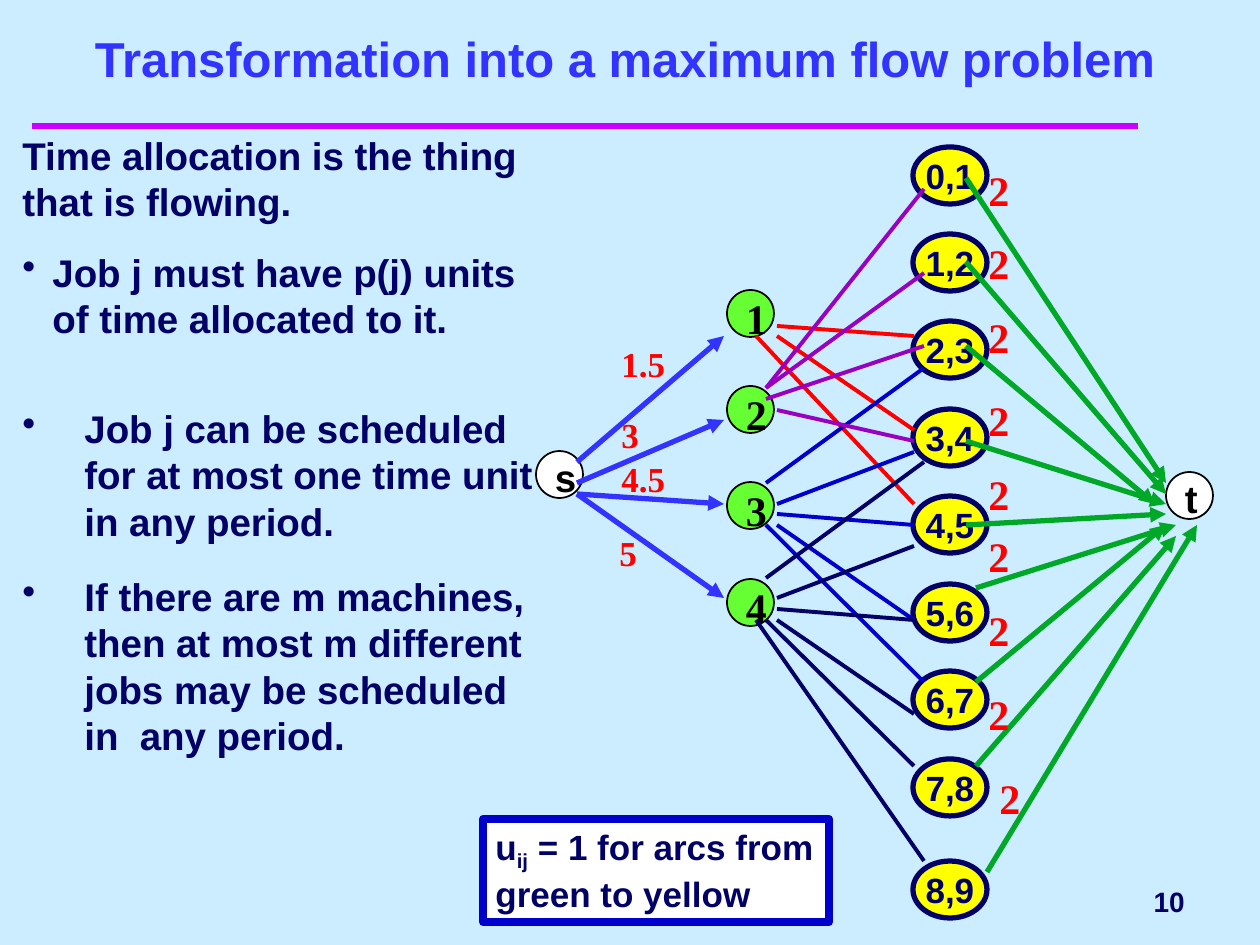
from lxml.etree import SubElement
from pptx import Presentation
from pptx.dml.color import RGBColor
from pptx.enum.shapes import MSO_CONNECTOR, MSO_SHAPE
from pptx.enum.text import MSO_ANCHOR, PP_ALIGN
from pptx.oxml.ns import qn
from pptx.util import Pt

EMU_PER_PX = 914400 / 126
NAVY, BLUE, VIOLET, RED = "000066", "0000CC", "9900BF", "FF0000"
BRIGHT_BLUE, GREEN, BLACK, WHITE = "3333FF", "00A828", "000000", "FFFFFF"
SANS, SERIF = "Arial", "Times New Roman"

SUPPLY_ARCS = [(577, 462, 724, 336), (577, 483, 724, 420),
               (577, 494, 724, 504), (577, 494, 724, 598)]
SUPPLY_LABELS = [("1.5", 609, 336), ("3", 609, 407), ("4.5", 609, 451), ("5", 607, 525)]
JOB_ARCS = {
    RED: [(777, 336, 914, 430), (777, 326, 914, 336), (756, 336, 914, 504)],
    BLUE: [(777, 504, 914, 452), (777, 525, 914, 620), (777, 514, 914, 525),
           (766, 483, 924, 368), (766, 525, 924, 682)],
    VIOLET: [(766, 388, 924, 273), (766, 388, 924, 189), (777, 410, 914, 441),
             (766, 399, 924, 346)],
    NAVY: [(777, 598, 914, 546), (777, 620, 914, 714), (777, 609, 914, 620),
           (766, 578, 924, 462), (766, 620, 914, 766), (756, 620, 924, 861)],
}
PERIOD_ARCS = [(966, 178, 1166, 483), (966, 262, 1166, 494), (966, 346, 1155, 504),
               (966, 441, 1166, 504), (966, 525, 1166, 514), (976, 588, 1176, 525),
               (976, 682, 1166, 525), (976, 766, 1176, 536), (987, 872, 1197, 525)]
CAPACITY_SPOTS = [(976, 158), (976, 231), (976, 305), (976, 388), (976, 462),
                  (976, 524), (976, 598), (976, 682), (987, 766)]


def px(*lengths):
    return [round(length * EMU_PER_PX) for length in lengths]


def rgb(hex_colour):
    return RGBColor.from_string(hex_colour)


def add_run(paragraph, text, size, colour, font=SANS):
    run = paragraph.add_run()
    run.text = text
    run.font.name = font
    run.font.size = Pt(size)
    run.font.bold = True
    run.font.color.rgb = rgb(colour)
    return run


def add_bullet(paragraph, indent):
    """Hang the paragraph behind a round bullet by indent px."""
    margin, = px(indent)
    properties = paragraph._p.get_or_add_pPr()
    properties.set("marL", str(margin))
    properties.set("indent", str(-margin))
    SubElement(properties, qn("a:buChar")).set("char", "•")


def add_label(shapes, text, box, size, colour, font=SANS, inset=True):
    label = shapes.add_textbox(*px(*box))
    frame = label.text_frame
    frame.word_wrap = inset
    if not inset:
        frame.margin_left = frame.margin_right = 0
        frame.margin_top = frame.margin_bottom = 0
    add_run(frame.paragraphs[0], text, size, colour, font)
    return label


def add_note(shapes, box, paragraphs):
    """Add body text from (text, bullet indent) pairs; indent 0 means no bullet."""
    frame = shapes.add_textbox(*px(*box)).text_frame
    frame.word_wrap = True
    for index, (text, indent) in enumerate(paragraphs):
        paragraph = frame.add_paragraph() if index else frame.paragraphs[0]
        if index:
            paragraph.space_before = Pt(13.8)
        if indent:
            add_bullet(paragraph, indent)
        add_run(paragraph, text, 22, NAVY)


def add_block(shapes, preset, box, fill, line, width):
    block = shapes.add_shape(preset, *px(*box))
    block.shadow.inherit = False
    block.fill.solid()
    block.fill.fore_color.rgb = rgb(fill)
    block.line.color.rgb = rgb(line)
    block.line.width = Pt(width)
    return block


def add_node(shapes, text, left, top, fill, size, font):
    """Add a small circle whose label sits right of its centre."""
    add_block(shapes, MSO_SHAPE.OVAL, (left, top, 47, 47), fill, BLACK, 1)
    add_label(shapes, text, (left + 19, top + 3, 21, 48), size, BLACK, font, inset=False)


def add_period(shapes, text, top):
    frame = add_block(shapes, MSO_SHAPE.OVAL, (913, top, 74, 57), "FFFF00", NAVY, 3).text_frame
    frame.word_wrap = False
    frame.vertical_anchor = MSO_ANCHOR.MIDDLE
    frame.paragraphs[0].alignment = PP_ALIGN.CENTER
    add_run(frame.paragraphs[0], text, 20, NAVY)


def add_arc(shapes, ends, colour, width, arrow=False):
    arc = shapes.add_connector(MSO_CONNECTOR.STRAIGHT, *px(*ends))
    arc.line.color.rgb = rgb(colour)
    arc.line.width = Pt(width)
    if arrow:
        SubElement(arc.line._get_or_add_ln(), qn("a:tailEnd")).set("type", "triangle")
    SubElement(arc._element.spPr, qn("a:effectLst"))


def add_title(slide, text):
    title = slide.shapes.title
    title.left, title.top, title.width, title.height = px(63, 21, 1124, 73)
    frame = title.text_frame
    frame.vertical_anchor = MSO_ANCHOR.BOTTOM
    frame.paragraphs[0].alignment = PP_ALIGN.CENTER
    add_run(frame.paragraphs[0], text, 28, BRIGHT_BLUE)


def add_capacity_rule(shapes):
    rule = add_block(shapes, MSO_SHAPE.RECTANGLE, (483, 819, 346, 103), WHITE, BLUE, 4.5)
    frame = rule.text_frame
    frame.word_wrap = True
    frame.vertical_anchor = MSO_ANCHOR.TOP
    paragraph = frame.paragraphs[0]
    paragraph.alignment = PP_ALIGN.LEFT
    add_run(paragraph, "u", 20, NAVY)
    subscript = add_run(paragraph, "ij", 20, NAVY)
    subscript._r.get_or_add_rPr().set("baseline", "-25000")
    add_run(paragraph, " = 1 for arcs from green to yellow", 20, NAVY)


def add_network(shapes):
    terminals = shapes.add_group_shape().shapes
    add_node(terminals, "s", 536, 451, WHITE, 22, SANS)
    add_node(terminals, "t", 1166, 472, WHITE, 22, SANS)

    supply = shapes.add_group_shape().shapes
    for ends in SUPPLY_ARCS:
        add_arc(supply, ends, BRIGHT_BLUE, 3, arrow=True)
    for amount, left, top in SUPPLY_LABELS:
        add_label(supply, amount, (left, top, 116, 55), 20, RED, SERIF)

    nodes = shapes.add_group_shape().shapes
    for job in range(4):
        add_node(nodes, str(job + 1), 727, 290 + job * 289 // 3, "66FF33", 24, SERIF)
    for start in range(9):
        top = 147 + start * 612 // 7 if start < 8 else 861
        add_period(nodes, f"{start},{start + 1}", top)

    demand = shapes.add_group_shape().shapes
    for ends in PERIOD_ARCS:
        add_arc(demand, ends, GREEN, 3, arrow=True)
    for left, top in CAPACITY_SPOTS:
        add_label(demand, "2", (left, top, 73, 63), 24, RED, SERIF)

    assignments = shapes.add_group_shape().shapes
    for colour, arcs in JOB_ARCS.items():
        for ends in arcs:
            add_arc(assignments, ends, colour, 2.25)


def main():
    deck = Presentation()
    deck.slide_width, deck.slide_height = px(1260, 945)
    slide = deck.slides.add_slide(deck.slide_layouts[5])
    slide.background.fill.solid()
    slide.background.fill.fore_color.rgb = rgb("CCECFF")
    shapes = slide.shapes

    add_arc(shapes, (32, 126, 1138, 126), "CC00FF", 4)
    add_title(slide, "Transformation into a maximum flow problem")
    page = add_label(shapes, "10", (903, 876, 294, 50), 16, NAVY)
    page.text_frame.vertical_anchor = MSO_ANCHOR.MIDDLE
    page.text_frame.paragraphs[0].alignment = PP_ALIGN.RIGHT

    add_note(shapes, (10, 126, 536, 222), [
        ("Time allocation is the thing that is flowing.", 0),
        ("Job j must have p(j) units of time allocated to it.", 30)])
    add_capacity_rule(shapes)
    add_network(shapes)
    add_note(shapes, (10, 399, 536, 151), [
        ("Job j can be scheduled for at most one time unit in any period.", 62)])
    add_note(shapes, (10, 567, 536, 198), [
        ("If there are m machines, then at most m different jobs may be "
         "scheduled in  any period.", 62)])
    deck.save("out.pptx")


if __name__ == "__main__":
    main()
